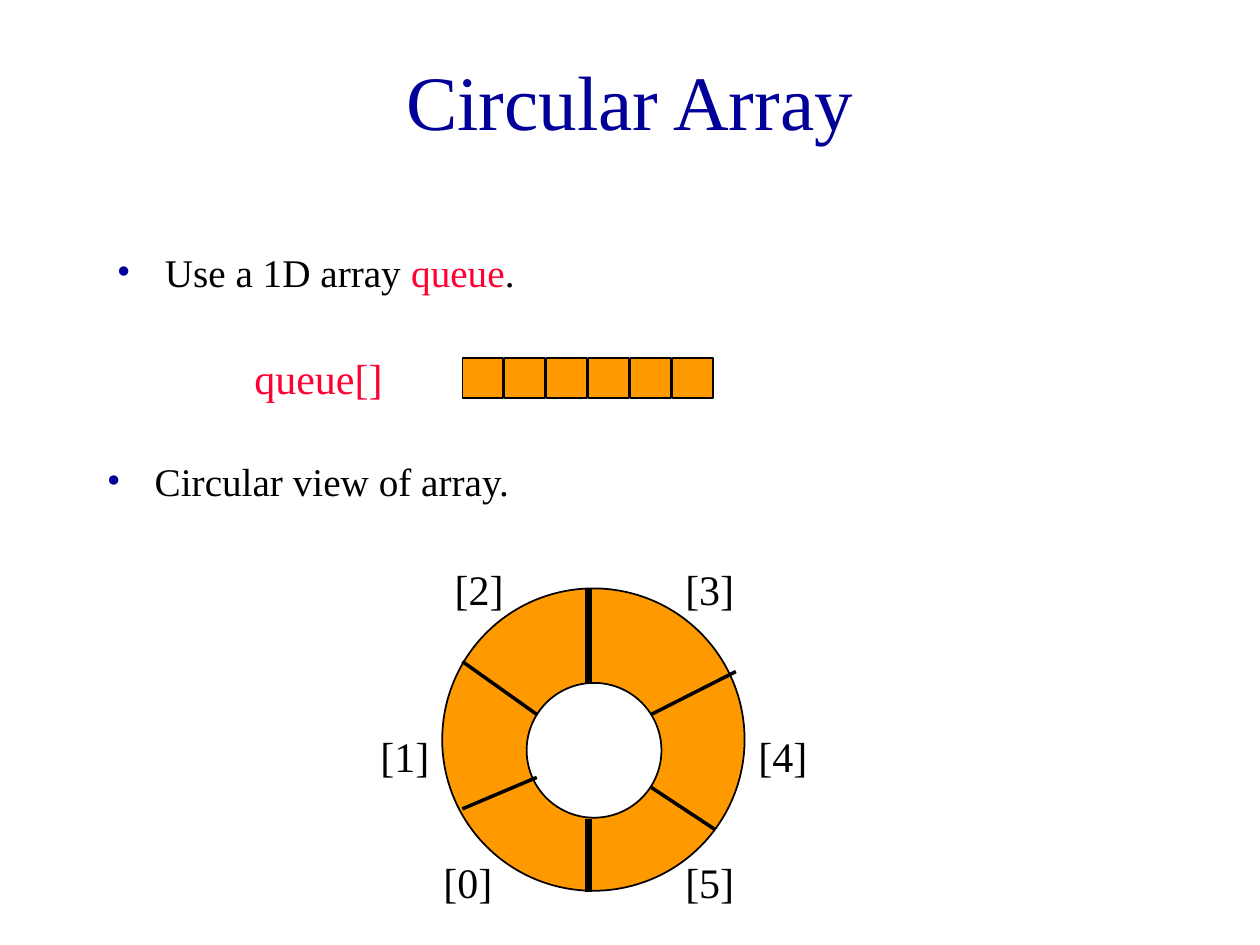
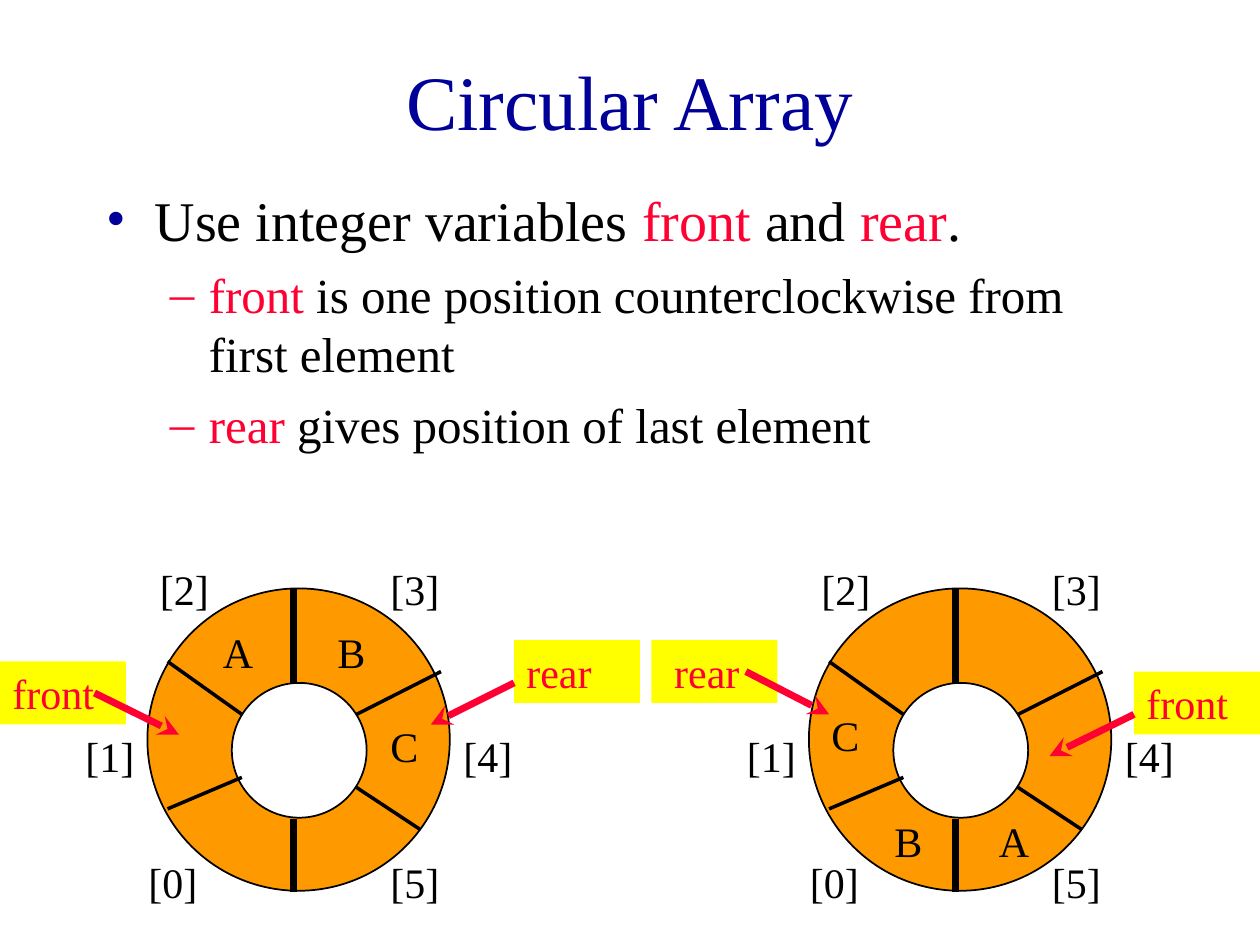
from lxml.etree import SubElement
from pptx import Presentation
from pptx.dml.color import RGBColor as RGB
from pptx.enum.shapes import MSO_CONNECTOR as LINK, MSO_SHAPE as SHAPE
from pptx.enum.text import MSO_ANCHOR as ANCHOR, PP_ALIGN as ALIGN
from pptx.oxml.ns import qn
from pptx.util import Inches, Pt

HUES = {"navy": "000099", "red": "FF0033", "black": "000000",
        "orange": "FF9900", "yellow": "FFFF00", "white": "FFFFFF"}
FONT = "Times New Roman"


def write(par, size, *runs):
    """Add (text, colour) runs to a paragraph."""
    for text, hue in runs:
        run = par.add_run()
        run.text = text
        run.font.name, run.font.size = FONT, Pt(size)
        run.font.color.rgb = RGB.from_string(HUES[hue])


def draw(slide, kind, box, fill=None, edge=None):
    """Add a preset shape, or a text box if kind is None; give its text frame."""
    place = [Inches(n) for n in box]
    if kind is None:
        shape = slide.shapes.add_textbox(*place)
    else:
        shape = slide.shapes.add_shape(kind, *place)
        shape.shadow.inherit = False
        shape.fill.solid()
        shape.fill.fore_color.rgb = RGB.from_string(HUES[fill])
        if edge:
            shape.line.color.rgb = RGB.from_string(HUES[edge])
            shape.line.width = Pt(1)
        else:
            shape.line.fill.background()
    frame = shape.text_frame
    frame.word_wrap = True
    frame.vertical_anchor = ANCHOR.TOP
    frame.paragraphs[0].alignment = ALIGN.LEFT
    return frame


deck = Presentation()
deck.slide_width, deck.slide_height = Inches(10), Inches(7.5)

# Titles
pages = []
for _ in range(2):
    page = deck.slides.add_slide(deck.slide_layouts[5])
    title = page.shapes.title
    title.left, title.top = Inches(0.75), Inches(0.17)
    title.width, title.height = Inches(8.5), Inches(1.25)
    title.text_frame.vertical_anchor = ANCHOR.MIDDLE
    par = title.text_frame.paragraphs[0]
    par.alignment = ALIGN.CENTER
    write(par, 44, ("Circular Array", "navy"))
    pages.append(page)
view, use = pages

# Bullets: each item is level, size, runs
notes = [
    (view, (0.83, 1.92, 8.5, 0.5), [
        (0, 22.4, [("Use a 1D array ", "black"), ("queue", "red"), (".", "black")])]),
    (view, (0.75, 3.58, 8.5, 0.5), [
        (0, 22.4, [("Circular view of array.", "black")])]),
    (use, (0.75, 1.42, 8.5, 2.92), [
        (0, 32, [("Use integer variables ", "black"), ("front ", "red"),
                 ("and ", "black"), ("rear", "red"), (".", "black")]),
        (1, 28, [("front ", "red"),
                 ("is one position counterclockwise from first element", "black")]),
        (1, 28, [("rear ", "red"), ("gives position of last element", "black")])]),
]
marks = [("•", "navy", 0.38, -0.38, 8), ("–", "red", 0.81, -0.31, 7)]
for page, box, items in notes:
    frame = draw(page, None, box)
    for i, (level, size, runs) in enumerate(items):
        par = frame.add_paragraph() if i else frame.paragraphs[0]
        mark, hue, left, hang, gap = marks[level]
        par.level, par.space_before = level, Pt(gap)
        props = par._p.get_or_add_pPr()
        props.set("marL", str(Inches(left)))
        props.set("indent", str(Inches(hang)))
        SubElement(SubElement(props, qn("a:buClr")), qn("a:srgbClr"), val=HUES[hue])
        SubElement(props, qn("a:buFont"), typeface=FONT)
        SubElement(props, qn("a:buChar"), char=mark)
        write(par, size, *runs)

# Flat array
for i in range(6):
    draw(view, SHAPE.RECTANGLE, (3.67 + i / 3, 2.84, 0.32, 0.32), "orange", "black")
frame = draw(view, None, (1.92, 2.75, 1.42, 0.5))
write(frame.paragraphs[0], 24, ("queue[]", "red"))

# Rings: x of slot labels and cuts is counted from the left of the ring
slots = [(-0.09, 6.75), (-0.59, 5.75), (0, 4.42), (1.83, 4.42), (2.41, 5.75), (1.83, 6.75)]
cuts = [(1.16, 4.67, 1.16, 5.42, 4), (1.16, 6.5, 1.16, 7.08, 4),
        (0.16, 5.25, 0.75, 5.67, 2), (0.75, 6.17, 0.16, 6.42, 2),
        (1.66, 5.67, 2.33, 5.33, 2), (1.66, 6.25, 2.16, 6.58, 2)]
# Page, left, letters, flags, arrows
rings = [
    (view, 3.51, [], [], []),
    (use, 1.17, [("A", 1.67, 4.92), ("B", 2.58, 4.92), ("C", 3, 5.67)],
     [("front", 0, 5.25), ("rear", 4.08, 5.08)],
     [(0.75, 5.5, 1.42, 5.83), (4.08, 5.42, 3.42, 5.75)]),
    (use, 6.42, [("A", 7.83, 6.42), ("B", 7, 6.42), ("C", 6.5, 5.58)],
     [("front", 9, 5.33), (" rear", 5.17, 5.08)],
     [(9, 5.67, 8.33, 6), (5.92, 5.33, 6.58, 5.67)]),
]
for page, left, letters, flags, arrows in rings:
    draw(page, SHAPE.OVAL, (left, 4.67, 2.4, 2.4), "orange", "black")
    draw(page, SHAPE.OVAL, (left + 0.67, 5.42, 1.07, 1.07), "white", "black")

    tags = [(f"[{i}]", left + x, y, 0.92) for i, (x, y) in enumerate(slots)]
    tags += [(name, x, y, 0.67) for name, x, y in letters]
    for text, x, y, wide in tags:
        frame = draw(page, None, (x, y, wide, 0.5))
        write(frame.paragraphs[0], 24, (text, "black"))
    for text, x, y in flags:
        frame = draw(page, SHAPE.RECTANGLE, (x, y, 1, 0.5), "yellow")
        write(frame.paragraphs[0], 24, (text, "red"))

    lines = [(left + a, b, left + c, d, wide, "black") for a, b, c, d, wide in cuts]
    lines += [(*ends, 4, "red") for ends in arrows]
    for *ends, wide, hue in lines:
        line = page.shapes.add_connector(LINK.STRAIGHT, *[Inches(n) for n in ends])
        line.line.color.rgb = RGB.from_string(HUES[hue])
        line.line.width = Pt(wide)
        if hue == "red":
            SubElement(line.line._get_or_add_ln(), qn("a:tailEnd"), type="stealth")
        SubElement(line._element.spPr, qn("a:effectLst"))

deck.save("out.pptx")
